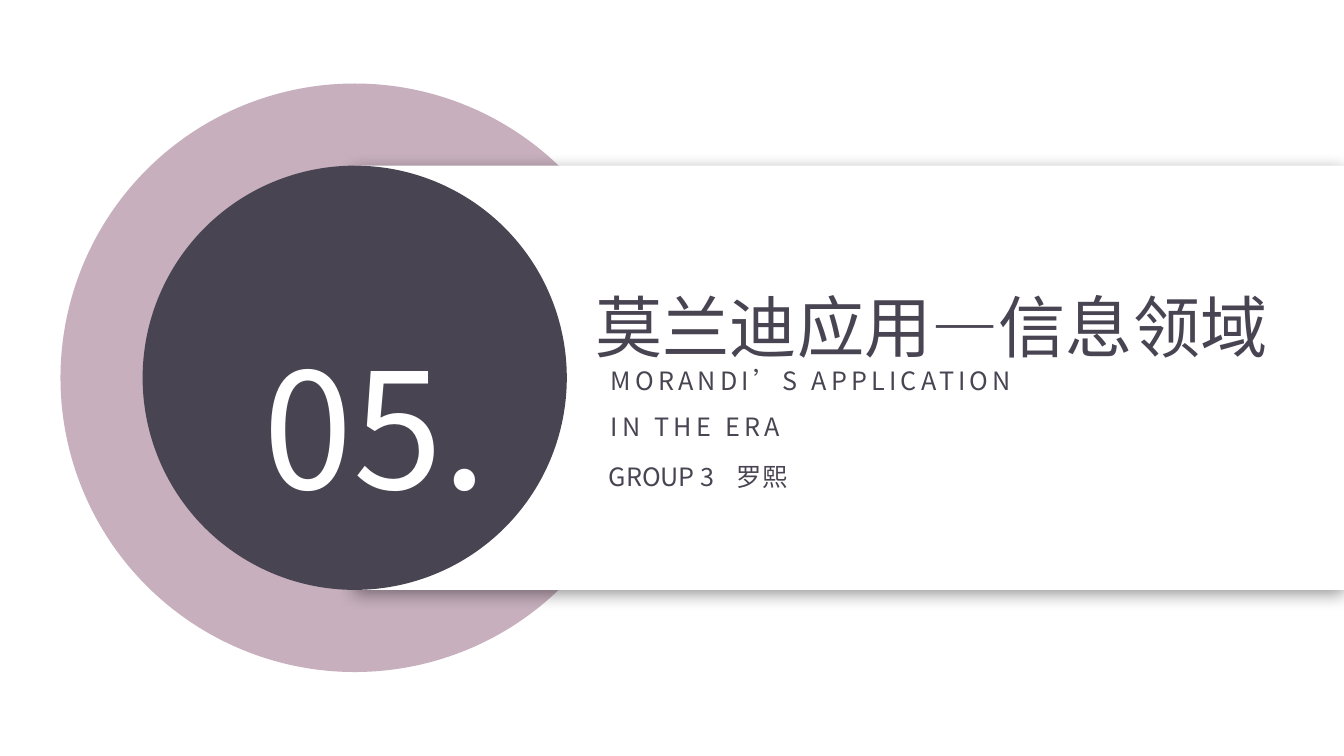
from lxml.etree import SubElement
from pptx import Presentation
from pptx.dml.color import RGBColor
from pptx.enum.shapes import MSO_SHAPE
from pptx.enum.text import MSO_AUTO_SIZE
from pptx.oxml.ns import qn
from pptx.util import Cm, Pt

COLORS = {"mauve": "C7AFBD", "slate": "484452", "white": "FFFFFF", "shadow": "000000"}
FONT = "Noto Sans CJK SC"

deck = Presentation()
deck.slide_width, deck.slide_height = Cm(33.87), Cm(19.05)
page = deck.slides.add_slide(deck.slide_layouts[6])


def add_filled(kind, left, top, width, height, color):
    shape = page.shapes.add_shape(kind, Cm(left), Cm(top), Cm(width), Cm(height))
    shape.shadow.inherit = False
    shape.fill.solid()
    shape.fill.fore_color.rgb = RGBColor.from_string(COLORS[color])
    shape.line.fill.background()
    return shape


# Both circles share a centre; the banner starts there and runs to the right edge
center_x, center_y = 8.94, 9.52
outer, inner = 14.83, 10.69
banner_top = center_y - inner / 2

add_filled(MSO_SHAPE.OVAL, center_x - outer / 2, center_y - outer / 2, outer, outer, "mauve")
banner = add_filled(MSO_SHAPE.RECTANGLE, center_x, banner_top, 33.87 - center_x, inner, "white")
add_filled(MSO_SHAPE.OVAL, center_x - inner / 2, banner_top, inner, inner, "slate")

effects = banner._element.spPr.find(qn("a:effectLst"))
shadow = SubElement(effects, qn("a:outerShdw"), blurRad=str(Pt(12)), dist=str(Pt(3)),
                    dir=str(90 * 60000), algn="t", rotWithShape="0")
shadow_color = SubElement(shadow, qn("a:srgbClr"), val=COLORS["shadow"])
SubElement(shadow_color, qn("a:alpha"), val="40000")

# text, left, top, width, height, size, color, wrap, letter spacing (pt), tab stop (cm)
texts = [
    ("莫兰迪应用—信息领域", 14.76, 6.05, 17.75, 3.33, 48, "slate", False, 0, 0),
    ("GROUP 3\t罗熙", 15.09, 11.13, 17.42, 1.27, 18, "slate", True, 0, 3.23),
    ("05.", 6.4, 5.72, 6.3, 6.76, 115, "white", False, 0, 0),
    ("MORANDI’S APPLICATION IN THE ERA", 15.14, 8.71, 10.87, 2.44, 18, "slate", True, 3, 0),
]
for text, left, top, width, height, size, color, wrap, spacing, tab in texts:
    box = page.shapes.add_textbox(Cm(left), Cm(top), Cm(width), Cm(height))
    frame = box.text_frame
    frame.word_wrap = wrap
    frame.auto_size = MSO_AUTO_SIZE.SHAPE_TO_FIT_TEXT
    para = frame.paragraphs[0]
    para.line_spacing = 1.5
    if tab:
        tabs = SubElement(para._p.get_or_add_pPr(), qn("a:tabLst"))
        SubElement(tabs, qn("a:tab"), pos=str(Cm(tab)), algn="l")
    para.font.size = Pt(size)
    para.font.name = FONT
    para.font.color.rgb = RGBColor.from_string(COLORS[color])
    span = para.add_run()
    span.text = text
    properties = span._r.get_or_add_rPr()
    if spacing:
        properties.set("spc", str(spacing * 100))
    SubElement(properties, qn("a:ea"), typeface=FONT)

deck.save("out.pptx")
